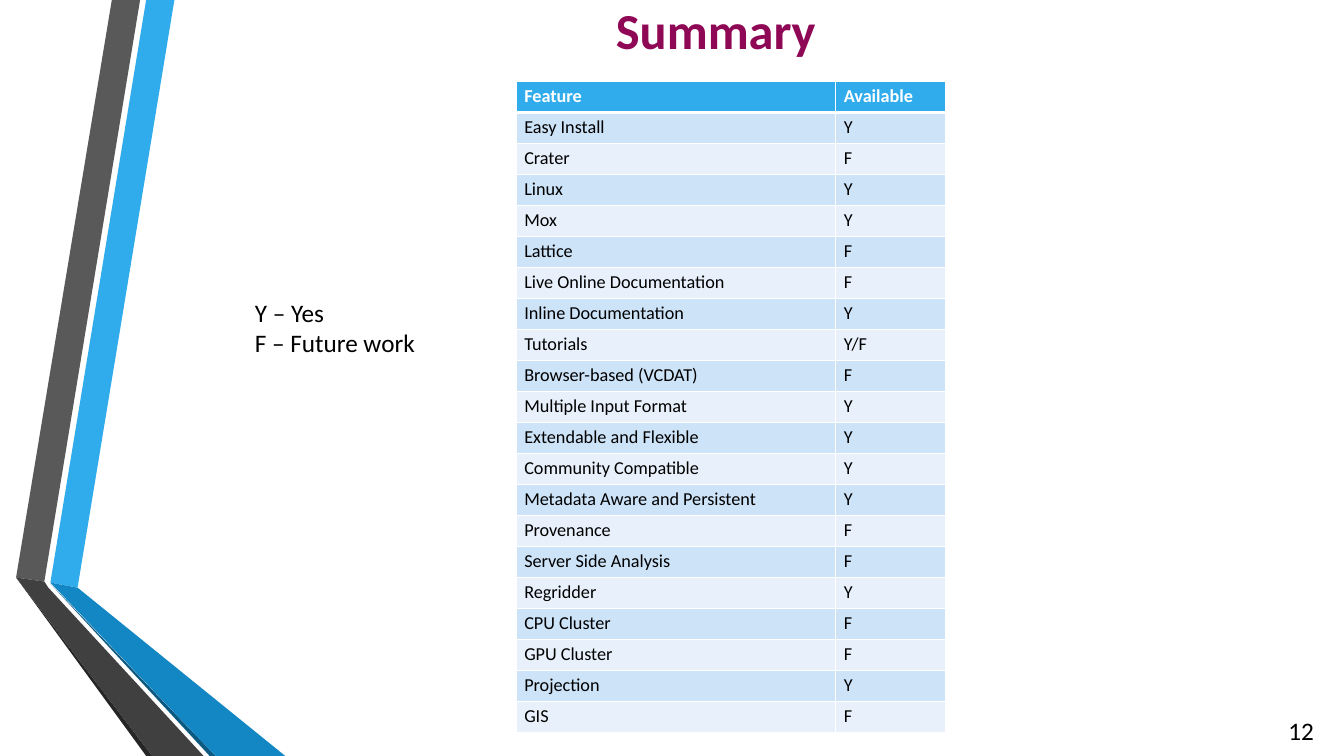
import pptx
import pptx.dml.color
import pptx.enum.text
import pptx.oxml
import pptx.oxml.ns
import pptx.util

Inches = pptx.util.Inches
RGBColor = pptx.dml.color.RGBColor
ALIGN = pptx.enum.text.PP_ALIGN
ANCHOR = pptx.enum.text.MSO_ANCHOR

BLACK = RGBColor(0x00, 0x00, 0x00)
WHITE = RGBColor(0xFF, 0xFF, 0xFF)
PLUM = RGBColor(0x8F, 0x08, 0x56)
SKY = RGBColor(0x30, 0xAC, 0xEC)
BLUE = RGBColor(0x12, 0x87, 0xC3)
NAVY = RGBColor(0x0C, 0x5A, 0x82)
GREY = RGBColor(0x59, 0x59, 0x59)
CHARCOAL = RGBColor(0x40, 0x40, 0x40)
SOOT = RGBColor(0x26, 0x26, 0x26)
BAND_DARK = RGBColor(0xCD, 0xE3, 0xF8)
BAND_LIGHT = RGBColor(0xE8, 0xF1, 0xFB)


def style_text(frame, size, color, bold=False, align=ALIGN.LEFT):
    for para in frame.paragraphs:
        para.alignment = align
        for span in para.runs:
            span.font.name = "Calibri"
            span.font.size = pptx.util.Pt(size)
            span.font.bold = bold
            span.font.color.rgb = color


def set_borders(cell, widths):
    properties = cell._tc.get_or_add_tcPr()
    for index, (side, width) in enumerate(widths.items()):
        line = pptx.oxml.parse_xml(
            f'<a:ln{side} {pptx.oxml.ns.nsdecls("a")} w="{pptx.util.Pt(width)}">'
            f'<a:solidFill><a:srgbClr val="{WHITE}"/></a:solidFill></a:ln{side}>')
        properties.insert(index, line)


deck = pptx.Presentation()
deck.slide_width = Inches(13.33)
deck.slide_height = Inches(7.5)
page = deck.slides.add_slide(deck.slide_layouts[6])

# Folded ribbons on the left
ribbons = [
    (SKY, [(0.5, 5.78), (0.77, 5.83), (1.73, 0), (1.45, 0)]),
    (GREY, [(1.39, 0), (1.11, 0), (0.16, 5.73), (0.44, 5.77)]),
    (SOOT, [(0.16, 5.73), (1.45, 7.5), (1.51, 7.5)]),
    (NAVY, [(0.5, 5.79), (2.08, 7.5), (2.14, 7.5)]),
    (BLUE, [(0.5, 5.78), (2.14, 7.5), (2.83, 7.5), (0.77, 5.83)]),
    (CHARCOAL, [(2.02, 7.5), (0.48, 5.83), (0.44, 5.77), (0.16, 5.73), (1.51, 7.5)]),
]
for color, points in ribbons:
    corners = [(Inches(x), Inches(y)) for x, y in points]
    builder = page.shapes.build_freeform(*corners[0])
    builder.add_line_segments(corners[1:], close=True)
    ribbon = builder.convert_to_shape()
    ribbon.shadow.inherit = False
    ribbon.fill.solid()
    ribbon.fill.fore_color.rgb = color
    ribbon.line.fill.background()

# Title, legend and page number
labels = [
    ("Summary", 1.62, 0, 10.96, 0.58, 36, PLUM, True, ALIGN.CENTER, ANCHOR.MIDDLE, True),
    ("Y – Yes\nF – Future work", 2.43, 2.9, 1.82, 0.71, 18, BLACK, False, ALIGN.LEFT, ANCHOR.TOP, False),
    ("12", 12.68, 7.05, 0.6, 0.4, 18, BLACK, False, ALIGN.LEFT, ANCHOR.TOP, True),
]
for text, left, top, width, height, size, color, bold, align, anchor, wrap in labels:
    box = page.shapes.add_textbox(Inches(left), Inches(top), Inches(width), Inches(height))
    box.text_frame.text = text
    box.text_frame.word_wrap = wrap
    box.text_frame.vertical_anchor = anchor
    style_text(box.text_frame, size, color, bold, align)

# Feature table
features = [
    ("Feature", "Available"),
    ("Easy Install", "Y"),
    ("Crater", "F"),
    ("Linux", "Y"),
    ("Mox", "Y"),
    ("Lattice", "F"),
    ("Live Online Documentation", "F"),
    ("Inline Documentation", "Y"),
    ("Tutorials", "Y/F"),
    ("Browser-based (VCDAT)", "F"),
    ("Multiple Input Format", "Y"),
    ("Extendable and Flexible", "Y"),
    ("Community Compatible", "Y"),
    ("Metadata Aware and Persistent", "Y"),
    ("Provenance", "F"),
    ("Server Side Analysis", "F"),
    ("Regridder", "Y"),
    ("CPU Cluster", "F"),
    ("GPU Cluster", "F"),
    ("Projection", "Y"),
    ("GIS", "F"),
]
table_height = Inches(6.46)
table = page.shapes.add_table(len(features), 2, Inches(5.12), Inches(0.81),
                              Inches(4.26), table_height).table
table.columns[0].width = Inches(3.17)
table.columns[1].width = Inches(1.09)
for row, entry in enumerate(features):
    table.rows[row].height = table_height // len(features)
    header = row == 0
    band = SKY if header else BAND_DARK if row % 2 else BAND_LIGHT
    for column, text in enumerate(entry):
        cell = table.cell(row, column)
        cell.text_frame.text = text
        cell.margin_left = cell.margin_right = Inches(0.08)
        cell.margin_top = cell.margin_bottom = Inches(0.04)
        cell.fill.solid()
        cell.fill.fore_color.rgb = band
        style_text(cell.text_frame, 13, WHITE if header else BLACK, header)
        set_borders(cell, {"L": 1, "R": 1, "T": 3 if row == 1 else 1, "B": 3 if header else 1})

deck.save("out.pptx")
